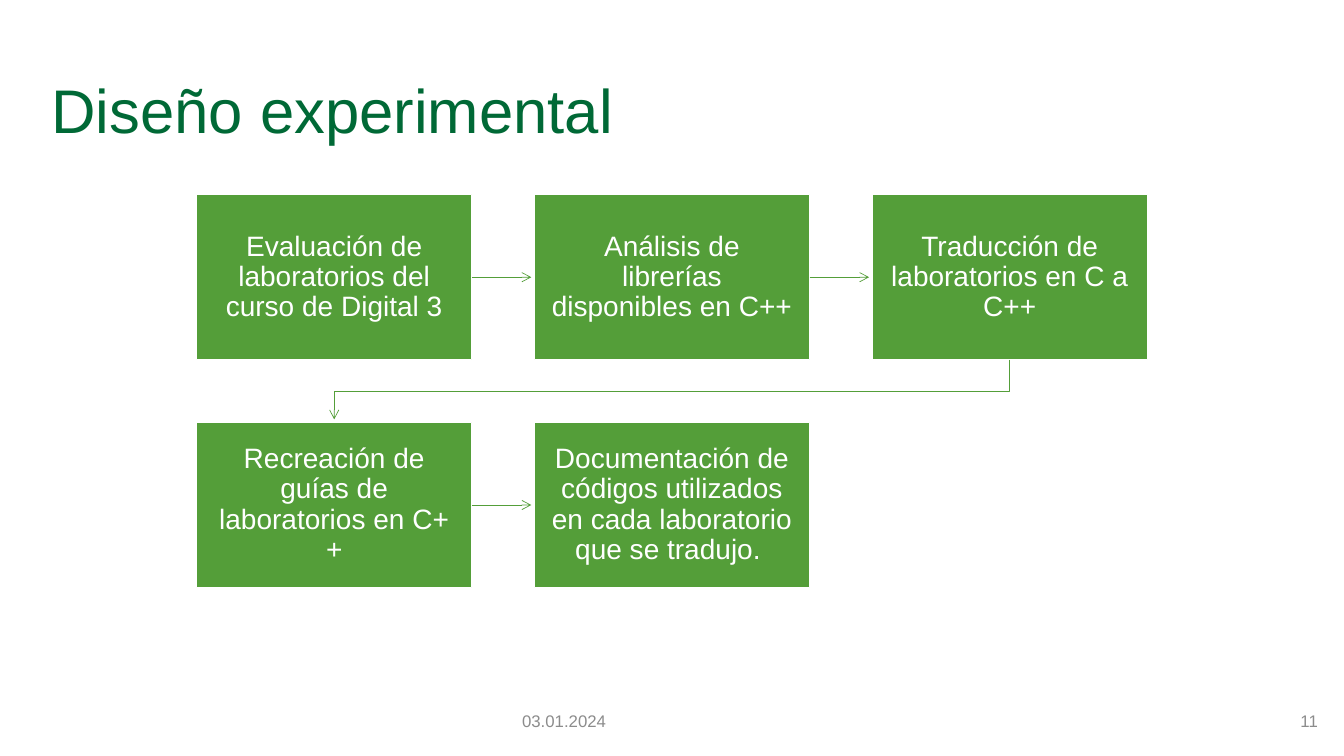
from pptx import Presentation
from pptx.dml.color import RGBColor
from pptx.enum.dml import MSO_LINE
from pptx.enum.shapes import MSO_CONNECTOR, MSO_SHAPE
from pptx.enum.text import MSO_ANCHOR, MSO_AUTO_SIZE, PP_ALIGN
from pptx.oxml.ns import qn
from pptx.util import Inches, Pt
from lxml.etree import SubElement

DARK_GREEN = RGBColor(0x00, 0x69, 0x36)
GREEN = RGBColor(0x54, 0x9E, 0x39)
GRAY = RGBColor(0x8C, 0x8C, 0x8C)
WHITE = RGBColor(0xFF, 0xFF, 0xFF)
FONT = "Arial"

COLS = 3
BOX_W, BOX_H = 2.73, 1.64
GAP = 0.62
CLEARANCE = 0.03  # space between an arrowhead and its box
INSET = 0.16

STEPS = [
    "Evaluación de laboratorios del curso de Digital 3",
    "Análisis de librerías disponibles en C++",
    "Traducción de laboratorios en C a C++",
    "Recreación de guías de laboratorios en C++",
    "Documentación de códigos utilizados en cada laboratorio que se tradujo. ",
]


def write(tf, text, size, color, align=PP_ALIGN.LEFT, spacing=1.0):
    tf.word_wrap = True
    tf.auto_size = MSO_AUTO_SIZE.NONE
    tf.vertical_anchor = MSO_ANCHOR.MIDDLE
    p = tf.paragraphs[0]
    p.alignment = align
    p.line_spacing = spacing
    r = p.add_run()
    r.text = text
    r.font.name = FONT
    r.font.size = Pt(size)
    r.font.color.rgb = color


def style_arrow(line):
    line.color.rgb = GREEN
    line.width = Pt(0.5)
    line.dash_style = MSO_LINE.SOLID
    SubElement(line._get_or_add_ln(), qn("a:tailEnd"), type="arrow")


def add_title(s, x, y, w, h):
    sp = s.shapes.title
    sp.left, sp.top, sp.width, sp.height = map(Inches, (x, y, w, h))
    write(sp.text_frame, "Diseño experimental", 44, DARK_GREEN, spacing=0.9)


def add_step(s, x, y, text):
    sp = s.shapes.add_shape(MSO_SHAPE.RECTANGLE, *map(Inches, (x, y, BOX_W, BOX_H)))
    sp.shadow.inherit = False
    sp.fill.solid()
    sp.fill.fore_color.rgb = GREEN
    sp.line.color.rgb = WHITE
    sp.line.width = Pt(1)
    tf = sp.text_frame
    tf.margin_left = tf.margin_right = tf.margin_top = tf.margin_bottom = Inches(INSET)
    write(tf, text, 20, WHITE, PP_ALIGN.CENTER, 0.9)


def add_row_arrow(s, x, y):
    """Arrow to the right across the gap that starts at x."""
    c = s.shapes.add_connector(
        MSO_CONNECTOR.STRAIGHT, *map(Inches, (x, y, x + GAP - CLEARANCE, y)))
    SubElement(c._element.spPr, qn("a:effectLst"))
    style_arrow(c.line)


def add_wrap_arrow(s, x_from, x_to, y):
    """Bent arrow from a row's last box to the first box of the next row."""
    points = [(x_from, y), (x_from, y + GAP / 2), (x_to, y + GAP / 2),
              (x_to, y + GAP - CLEARANCE)]
    points = [(Inches(px), Inches(py)) for px, py in points]
    builder = s.shapes.build_freeform(*points[0])
    builder.add_line_segments(points[1:], close=False)
    sp = builder.convert_to_shape()
    sp.shadow.inherit = False
    sp.fill.background()
    style_arrow(sp.line)


def add_flow(s, left, top):
    for i, text in enumerate(STEPS):
        row, col = divmod(i, COLS)
        x = left + col * (BOX_W + GAP)
        y = top + row * (BOX_H + GAP)
        add_step(s, x, y, text)
        if i == len(STEPS) - 1:
            continue
        if col < COLS - 1:
            add_row_arrow(s, x + BOX_W, y + BOX_H / 2)
        else:
            add_wrap_arrow(s, x + BOX_W / 2, left + BOX_W / 2, y + BOX_H)


def add_footer(s, y, h):
    for x, text, align in [(5.08, "03.01.2024", PP_ALIGN.LEFT),
                           (10.17, "11", PP_ALIGN.RIGHT)]:
        sp = s.shapes.add_textbox(*map(Inches, (x, y, 3, h)))
        write(sp.text_frame, text, 12, GRAY, align)


def main():
    prs = Presentation()
    prs.slide_width, prs.slide_height = Inches(13.33), Inches(7.5)
    s = prs.slides.add_slide(prs.slide_layouts[5])
    add_title(s, 0.41, 0.4, 12.52, 1.45)
    add_flow(s, 1.95, 1.93)
    add_footer(s, 6.95, 0.4)
    prs.save("out.pptx")


if __name__ == "__main__":
    main()
